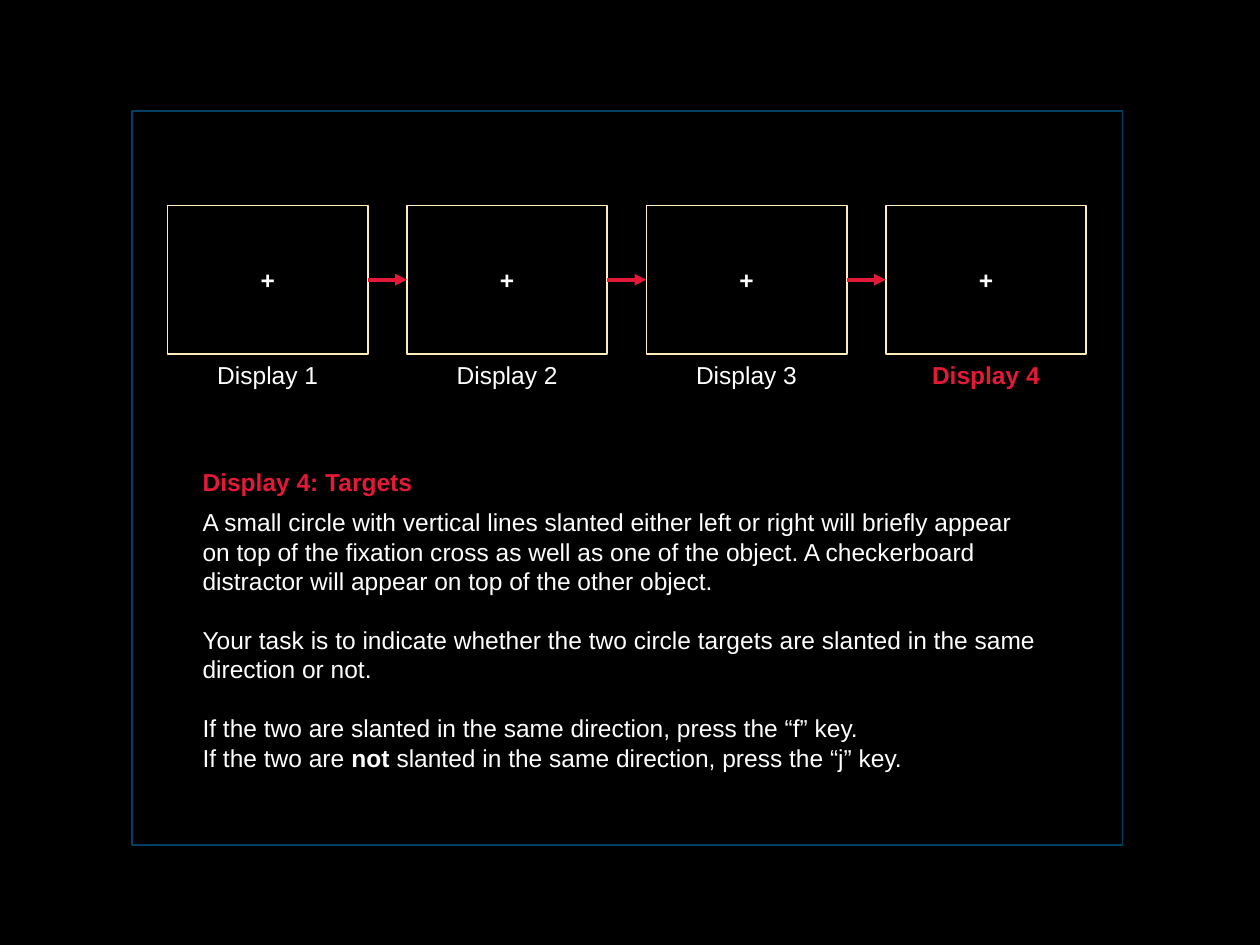
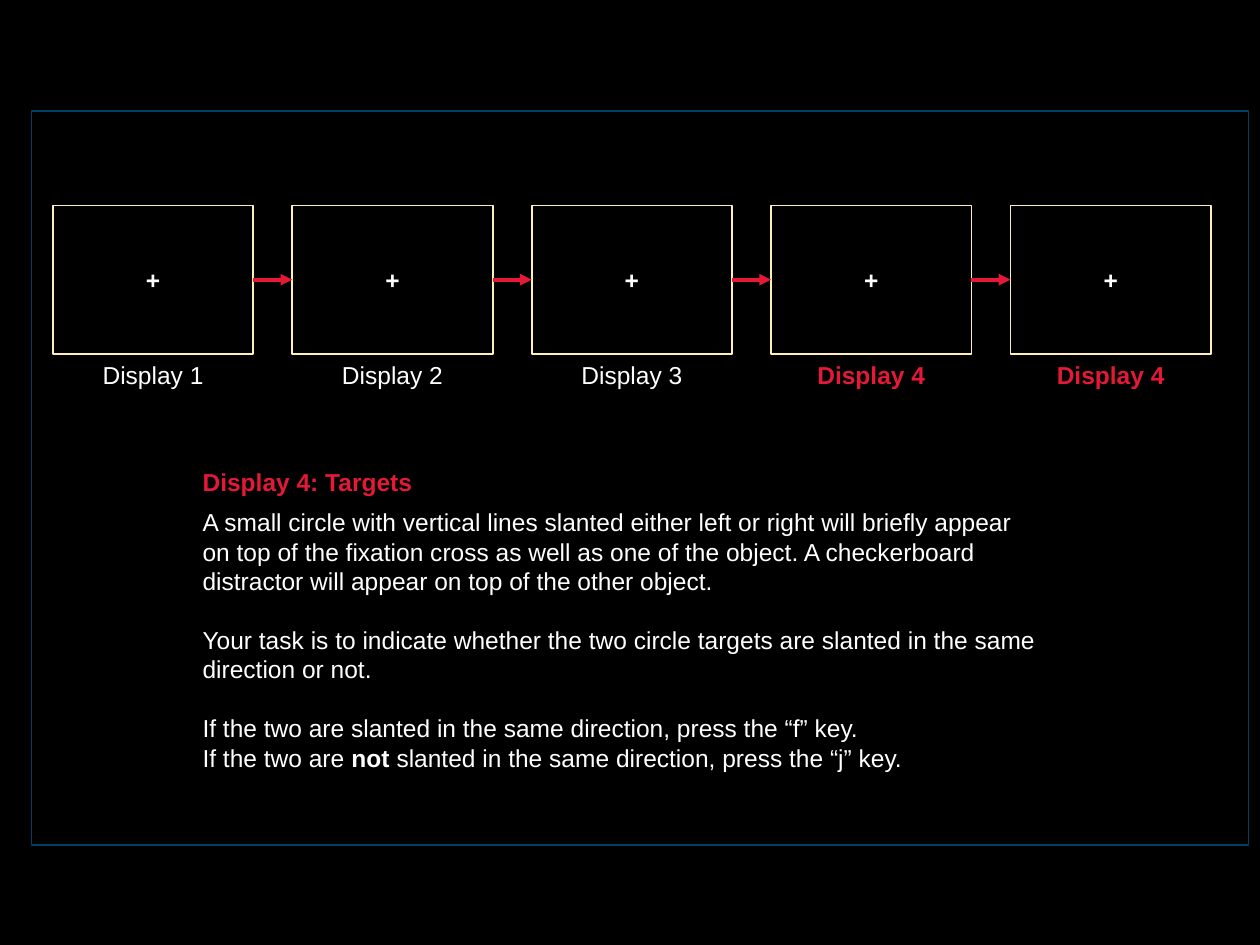
from pptx import Presentation
from pptx.dml.color import RGBColor
from pptx.enum.shapes import MSO_CONNECTOR, MSO_SHAPE
from pptx.enum.text import MSO_ANCHOR, PP_ALIGN
from pptx.oxml.ns import qn
from pptx.util import Inches, Pt
from lxml import etree

RECTANGLE, STRAIGHT = MSO_SHAPE.RECTANGLE, MSO_CONNECTOR.STRAIGHT
TOP, MIDDLE = MSO_ANCHOR.TOP, MSO_ANCHOR.MIDDLE
LEFT, CENTER = PP_ALIGN.LEFT, PP_ALIGN.CENTER

BLACK = RGBColor(0x00, 0x00, 0x00)
WHITE = RGBColor(0xFF, 0xFF, 0xFF)
BLUE = RGBColor(0x00, 0x40, 0x65)
CREAM = RGBColor(0xFF, 0xEE, 0xBB)
RED = RGBColor(0xE3, 0x19, 0x37)

BLANK_LAYOUT = 6
DISPLAY_TOP, DISPLAY_WIDTH, DISPLAY_HEIGHT = 1.63, 1.59, 1.18
DISPLAY_PITCH = 1.9
LINE_GAP = 16.85

PLAIN = {"bold": False}
STRONG = {"bold": True}
HIGHLIGHT = {"bold": True, "color": RED}

INSTRUCTIONS = [
    ([("Display 4: Targets", HIGHLIGHT)], 6),
    ([("A small circle with vertical lines slanted either left or right will "
       "briefly appear on top of the fixation cross as well as one of the object. "
       "A checkerboard distractor will appear on top of the other object.", PLAIN)], LINE_GAP),
    ([("Your task is to indicate whether the two circle targets are slanted "
       "in the same direction or not.", PLAIN)], LINE_GAP),
    ([("If the two are slanted in the same direction, press the “f” key.", PLAIN)], 0),
    ([("If the two are ", PLAIN), ("not ", STRONG),
      ("slanted in the same direction, press the “j” key.", PLAIN)], 0),
]

SLIDES = [
    {"frame": (1.05, 7.86), "first_left": 1.33, "numbers": (1, 2, 3, 4)},
    {"frame": (0.25, 9.66), "first_left": 0.42, "numbers": (1, 2, 3, 4, 4)},
]


class Deck:
    """Hold the shared style and the current slide, and draw its elements."""

    font = {"name": "Arial", "size": Pt(14)}

    def __init__(self):
        self.presentation = Presentation()
        self.presentation.slide_width = Inches(10)
        self.presentation.slide_height = Inches(7.5)
        self.slide = None

    def add_slide(self):
        layout = self.presentation.slide_layouts[BLANK_LAYOUT]
        self.slide = self.presentation.slides.add_slide(layout)
        fill = self.slide.background.fill
        fill.solid()
        fill.fore_color.rgb = BLACK

    def fill_text(self, shape, paragraphs, alignment, anchor):
        text_frame = shape.text_frame
        text_frame.word_wrap = True
        text_frame.vertical_anchor = anchor
        for index, (runs, space_after) in enumerate(paragraphs):
            paragraph = text_frame.add_paragraph() if index else text_frame.paragraphs[0]
            paragraph.alignment = alignment
            paragraph.space_after = Pt(space_after)
            for text, style in runs:
                run = paragraph.add_run()
                run.text = text
                for name, value in {**self.font, "bold": style["bold"]}.items():
                    setattr(run.font, name, value)
                run.font.color.rgb = style.get("color", WHITE)

    def outline(self, left, top, width, height, color):
        shape = self.slide.shapes.add_shape(
            RECTANGLE, Inches(left), Inches(top), Inches(width), Inches(height))
        shape.shadow.inherit = False
        shape.fill.background()
        shape.line.color.rgb = color
        shape.line.width = Pt(1)
        return shape

    def text(self, left, top, width, height, paragraphs, alignment=LEFT):
        box = self.slide.shapes.add_textbox(
            Inches(left), Inches(top), Inches(width), Inches(height))
        self.fill_text(box, paragraphs, alignment, TOP)
        return box

    def arrow(self, start, end, middle):
        connector = self.slide.shapes.add_connector(
            STRAIGHT, Inches(start), Inches(middle), Inches(end), Inches(middle))
        connector.line.color.rgb = RED
        connector.line.width = Pt(2.25)
        properties = connector._element.spPr
        etree.SubElement(properties.find(qn("a:ln")), qn("a:tailEnd"), type="triangle")
        etree.SubElement(properties, qn("a:effectLst"))

    def display(self, left, number):
        shape = self.outline(left, DISPLAY_TOP, DISPLAY_WIDTH, DISPLAY_HEIGHT, CREAM)
        self.fill_text(shape, [([("+", STRONG)], 0)], CENTER, MIDDLE)
        style = HIGHLIGHT if number == 4 else PLAIN
        self.text(left, DISPLAY_TOP + DISPLAY_HEIGHT, DISPLAY_WIDTH, 0.34,
                  [([(f"Display {number}", style)], 0)], CENTER)

    def display_row(self, first_left, numbers):
        for index, number in enumerate(numbers):
            left = first_left + index * DISPLAY_PITCH
            self.display(left, number)
            if index:
                previous_right = left - DISPLAY_PITCH + DISPLAY_WIDTH
                self.arrow(previous_right, left, DISPLAY_TOP + DISPLAY_HEIGHT / 2)


def main():
    deck = Deck()
    for content in SLIDES:
        deck.add_slide()
        frame_left, frame_width = content["frame"]
        deck.outline(frame_left, 0.88, frame_width, 5.83, BLUE)
        deck.display_row(content["first_left"], content["numbers"])
        instructions = deck.text(1.51, 3.66, 6.86, 2.49, INSTRUCTIONS)
        instructions.text_frame.margin_bottom = 0
    deck.presentation.save("out.pptx")


if __name__ == "__main__":
    main()
